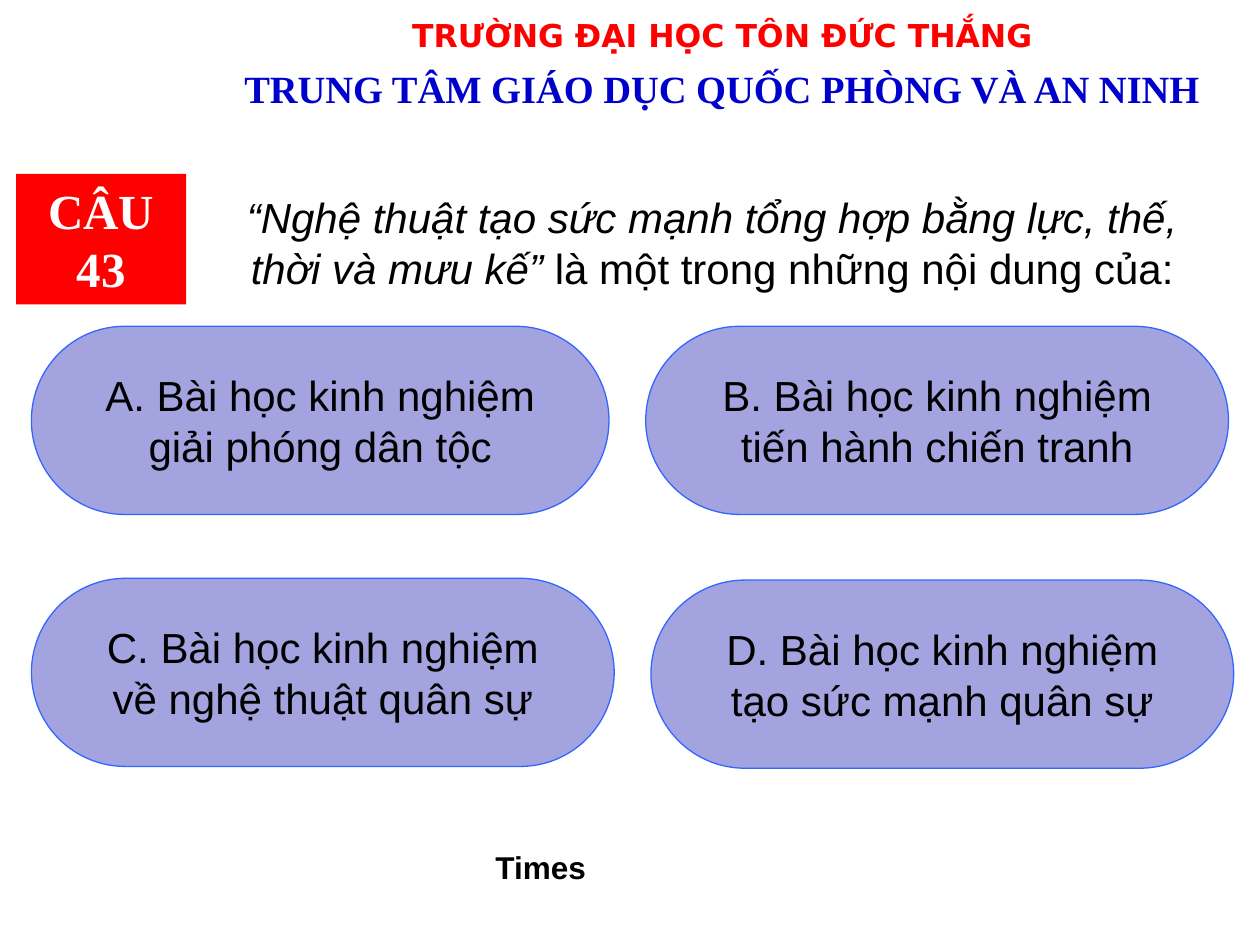
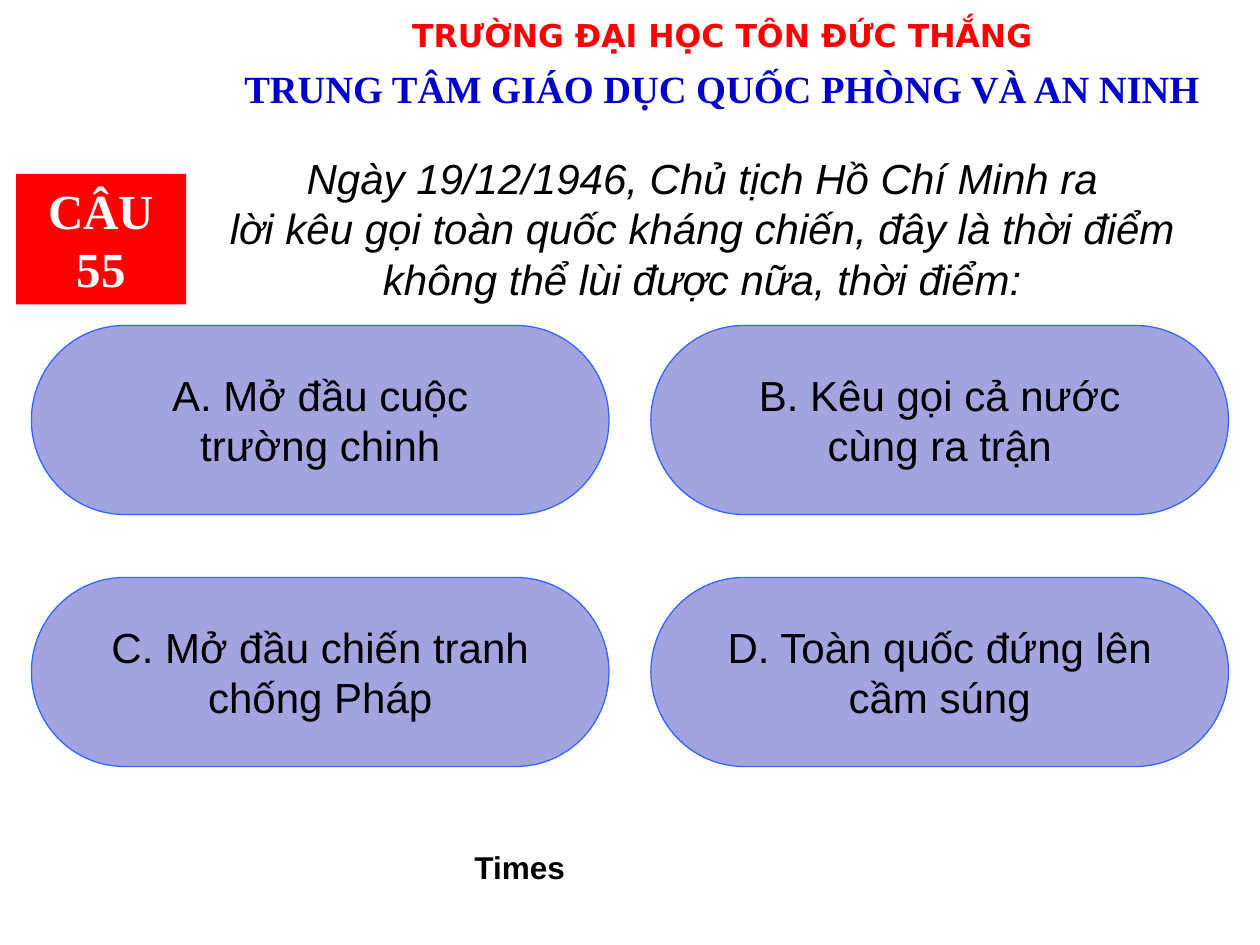
from dataclasses import dataclass

from pptx import Presentation
from pptx.dml.color import RGBColor
from pptx.enum.shapes import MSO_SHAPE
from pptx.enum.text import MSO_ANCHOR, MSO_AUTO_SIZE, PP_ALIGN
from pptx.util import Pt


@dataclass(frozen=True)
class TextStyle:
    font: str
    size: float
    color: str
    bold: bool = False


class Theme:
    school = TextStyle("DejaVu Sans", 18, "FF0000", True)
    center = TextStyle("Times New Roman", 22, "0000CC", True)
    number = TextStyle("Times New Roman", 28, "FFFFFF", True)
    body = TextStyle("Arial", 24, "000000")
    timer = TextStyle("Arial", 18, "000000", True)
    number_fill = "FF0000"
    answer_fill = "A3A3E0"
    answer_line = "3366FF"


# Frames are left, top, width, height in points.
HEADER = [
    ("TRƯỜNG ĐẠI HỌC TÔN ĐỨC THẮNG", Theme.school, (146, 5.8, 533.5, 24.5)),
    ("TRUNG TÂM GIÁO DỤC QUỐC PHÒNG VÀ AN NINH", Theme.center, (124.5, 33.8, 576, 23)),
]
NUMBER_FRAME = (9.2, 99.4, 97.2, 74.6)
TIMER_TOP, TIMER_WIDTH, TIMER_HEIGHT = 481, 78, 29
GRID_LEFT, COLUMN_STEP, ANSWER_WIDTH = 18, 354, 330
ROW_STEP, ANSWER_BOTTOM = 144, 294

# Question lines hold (text, italic) runs; answers run A to D, row by row.
# Nudges move an answer off the grid: left shift, extra width, drop.
QUESTIONS = [
    {
        "number": "CÂU 43",
        "question": [[
            ("“Nghệ thuật tạo sức mạnh tổng hợp bằng lực, thế, thời và mưu kế”", True),
            (" là một trong những nội dung của:", False),
        ]],
        "question_frame": (128, 106, 558, 65),
        "answers": [
            ("A. Bài học kinh nghiệm", "giải phóng dân tộc"),
            ("B. Bài học kinh nghiệm", "tiến hành chiến tranh"),
            ("C. Bài học kinh nghiệm", "về nghệ thuật quân sự"),
            ("D. Bài học kinh nghiệm", "tạo sức mạnh quân sự"),
        ],
        "nudges": [(0, 0, 0), (-3, 3, 0), (0, 3, 0), (0, 3, 1)],
        "answer_height": 107.5,
        "timer_left": 270,
    },
    {
        "number": "CÂU 55",
        "question": [
            [("Ngày 19/12/1946, Chủ tịch Hồ Chí Minh ra", True)],
            [("lời kêu gọi toàn quốc kháng chiến, đây là thời điểm", True)],
            [("không thể lùi được nữa, thời điểm:", True)],
        ],
        "question_frame": (100.8, 83.5, 601, 93.6),
        "answers": [
            ("A. Mở đầu cuộc", "trường chinh"),
            ("B. Kêu gọi cả nước", "cùng ra trận"),
            ("C. Mở đầu chiến tranh", "chống Pháp"),
            ("D. Toàn quốc đứng lên", "cầm súng"),
        ],
        "nudges": [(0, 0, 0)] * 4,
        "answer_height": 108,
        "timer_left": 258,
    },
]


def plain(*lines):
    return [[(line, False)] for line in lines]


def write(box, lines, style, wrap=True, anchor=MSO_ANCHOR.TOP):
    """Fill a box with centred paragraphs, one per line of runs."""
    frame = box.text_frame
    frame.auto_size = MSO_AUTO_SIZE.NONE
    frame.word_wrap = wrap
    frame.vertical_anchor = anchor
    for index, runs in enumerate(lines):
        para = frame.add_paragraph() if index else frame.paragraphs[0]
        para.alignment = PP_ALIGN.CENTER
        for text, italic in runs:
            span = para.add_run()
            span.text = text
            span.font.name = style.font
            span.font.size = Pt(style.size)
            span.font.bold = style.bold
            span.font.italic = italic
            span.font.color.rgb = RGBColor.from_string(style.color)


def add_text(page, text, style, frame, wrap=True):
    box = page.shapes.add_textbox(*map(Pt, frame))
    write(box, plain(text), style, wrap)


def add_filled(page, preset, frame, fill, line=None):
    shape = page.shapes.add_shape(preset, *map(Pt, frame))
    shape.shadow.inherit = False
    shape.fill.solid()
    shape.fill.fore_color.rgb = RGBColor.from_string(fill)
    if line:
        shape.line.color.rgb = RGBColor.from_string(line)
        shape.line.width = Pt(0.75)
    else:
        shape.line.fill.background()
    return shape


def add_question(page, lines, frame):
    title = page.shapes.title
    title.left, title.top, title.width, title.height = map(Pt, frame)
    write(title, lines, Theme.body)


def add_answers(page, answers, nudges, height):
    for index, (lines, nudge) in enumerate(zip(answers, nudges)):
        row, column = divmod(index, 2)
        shift, extra, drop = nudge
        frame = (
            GRID_LEFT + column * COLUMN_STEP + shift,
            ANSWER_BOTTOM - height + row * ROW_STEP + drop,
            ANSWER_WIDTH + extra,
            height,
        )
        pill = add_filled(page, MSO_SHAPE.FLOWCHART_TERMINATOR, frame,
                          Theme.answer_fill, Theme.answer_line)
        write(pill, plain(*lines), Theme.body, wrap=False, anchor=MSO_ANCHOR.MIDDLE)


def add_page(deck, item):
    page = deck.slides.add_slide(deck.slide_layouts[5])
    for text, style, frame in HEADER:
        add_text(page, text, style, frame, wrap=False)
    add_question(page, item["question"], item["question_frame"])
    add_answers(page, item["answers"], item["nudges"], item["answer_height"])
    add_text(page, "Times", Theme.timer,
             (item["timer_left"], TIMER_TOP, TIMER_WIDTH, TIMER_HEIGHT))
    number = add_filled(page, MSO_SHAPE.RECTANGLE, NUMBER_FRAME, Theme.number_fill)
    write(number, plain(item["number"]), Theme.number)


def main():
    deck = Presentation()
    deck.slide_width, deck.slide_height = Pt(720), Pt(540)
    for item in QUESTIONS:
        add_page(deck, item)
    deck.save("out.pptx")


if __name__ == "__main__":
    main()
